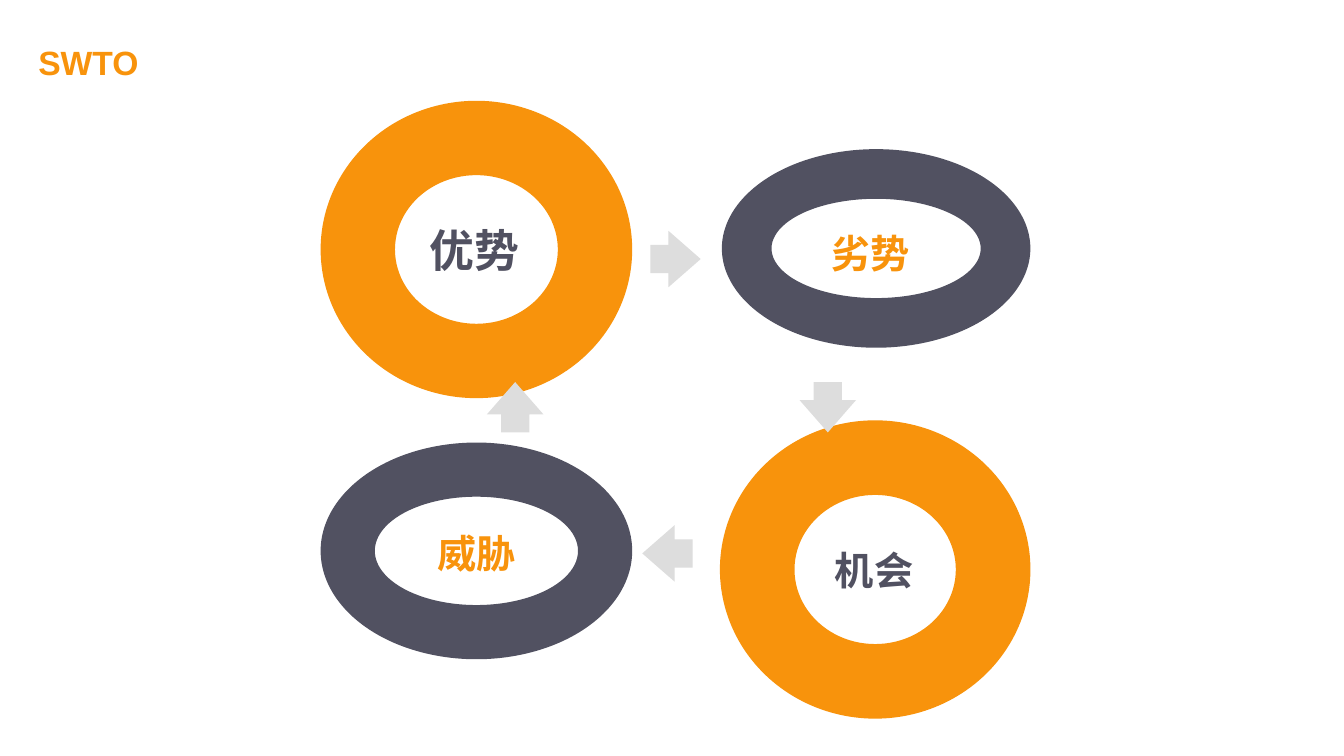
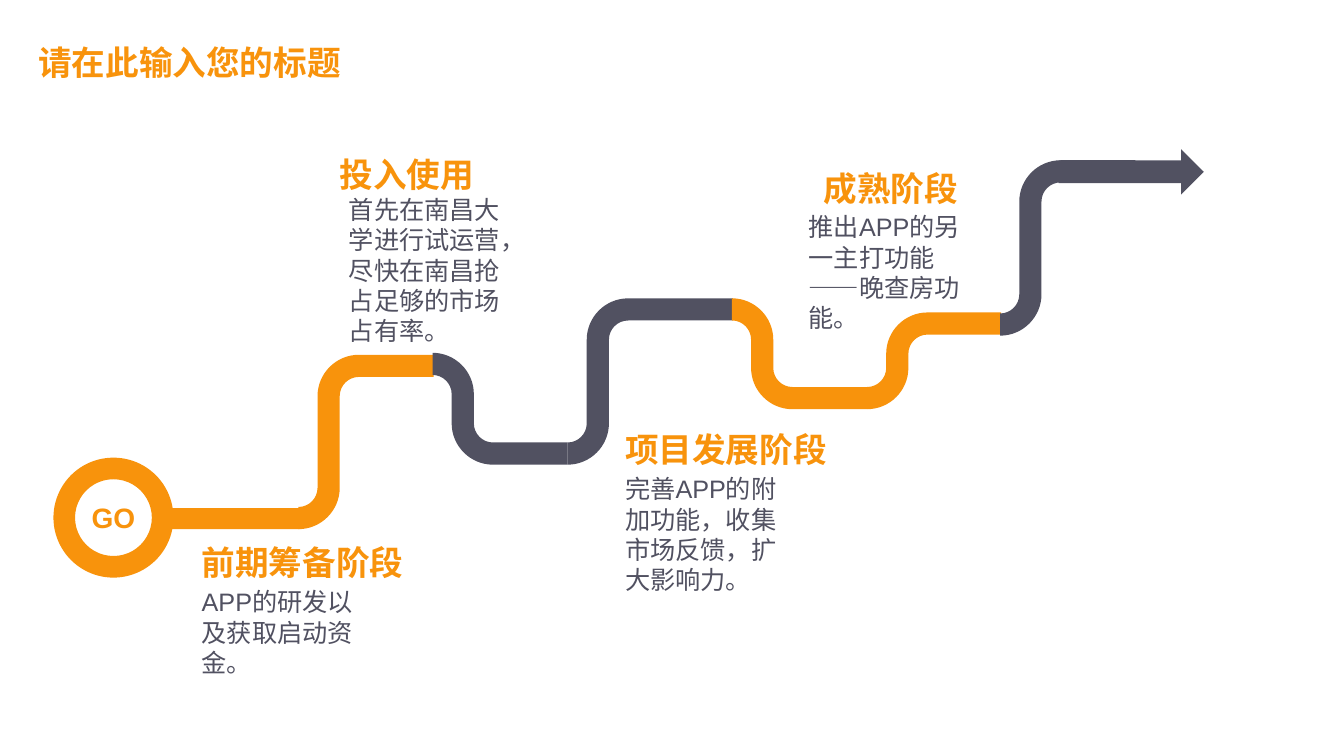
import pptx
import pptx.dml.color
import pptx.enum.shapes
import pptx.enum.text
import pptx.oxml.ns
import pptx.util

Inches = pptx.util.Inches
Pt = pptx.util.Pt
RGBColor = pptx.dml.color.RGBColor
Shape = pptx.enum.shapes.MSO_SHAPE
Anchor = pptx.enum.text.MSO_ANCHOR
Align = pptx.enum.text.PP_ALIGN
qn = pptx.oxml.ns.qn

ORANGE = RGBColor(0xF8, 0x93, 0x0C)
SLATE = RGBColor(0x51, 0x51, 0x61)
GREY = RGBColor(0xDD, 0xDD, 0xDD)
FONT = "Arial"


def paint(shape, color):
    shape.shadow.inherit = False
    shape.fill.solid()
    shape.fill.fore_color.rgb = color
    shape.line.fill.background()


def add_text(slide, box, text, size, color, bold=True, align=Align.LEFT, anchor=Anchor.MIDDLE):
    frame = slide.shapes.add_textbox(*map(Inches, box)).text_frame
    frame.word_wrap = True
    frame.vertical_anchor = anchor
    frame.margin_left = frame.margin_right = frame.margin_top = frame.margin_bottom = 0
    frame.text = text
    paragraph = frame.paragraphs[0]
    paragraph.alignment = align
    font = paragraph.runs[0].font
    font.name = FONT
    font.size = Pt(size)
    font.bold = bold
    font.color.rgb = color


presentation = pptx.Presentation()
presentation.slide_width = Inches(13.33)
presentation.slide_height = Inches(7.5)

layout = presentation.slide_layouts.get_by_name("Title Only")
layout_title = layout.placeholders[0]
layout_title.left, layout_title.top = Inches(0.28), Inches(0.28)
layout_title.width, layout_title.height = Inches(3.89), Inches(0.68)

title_level = next(presentation.slide_master.element.iter(qn("p:titleStyle"))).find(qn("a:lvl1pPr"))
title_level.set("algn", "l")
title_run = title_level.find(qn("a:defRPr"))
title_run.set("sz", "2400")
title_run.set("b", "1")
title_run.find(qn("a:latin")).set("typeface", FONT)
title_color = title_run.find(qn("a:solidFill"))
title_color.clear()
title_color.append(title_color.makeelement(qn("a:srgbClr"), {"val": str(ORANGE)}))

swot_slide = presentation.slides.add_slide(layout)
swot_slide.shapes.title.text_frame.text = "SWTO"

rings = [
    ((3.18, 4.39, 3.09, 2.15), SLATE),
    ((7.14, 4.17, 3.08, 2.96), ORANGE),
    ((7.16, 1.48, 3.06, 1.97), SLATE),
    ((3.18, 1, 3.09, 2.95), ORANGE),
]
for box, color in rings:
    ring = swot_slide.shapes.add_shape(Shape.DONUT, *map(Inches, box))
    paint(ring, color)

for left, top, rotation in [(4.86, 3.76, 270), (6.45, 2.29, 0), (6.37, 5.21, 180), (7.96, 3.76, 90)]:
    arrow = swot_slide.shapes.add_shape(
        Shape.RIGHT_ARROW, Inches(left), Inches(top), Inches(0.5), Inches(0.56))
    arrow.rotation = rotation
    arrow.adjustments[1] = 0.64
    paint(arrow, GREY)

ring_labels = [
    ((3.82, 2.19, 1.77, 0.57), "优势", 32, SLATE),
    ((7.93, 2.26, 1.41, 0.49), "劣势", 28, ORANGE),
    ((7.88, 5.34, 1.58, 0.62), "机会", 28, SLATE),
    ((3.95, 5.1, 1.55, 0.77), "威胁", 28, ORANGE),
]
for box, text, size, color in ring_labels:
    add_text(swot_slide, box, text, size, color, align=Align.CENTER)

road_slide = presentation.slides.add_slide(layout)
road_slide.shapes.title.text_frame.text = "请在此输入您的标题"

BEND = 0.3
HALF_WIDTH = 0.11
CURVE_PULL = 0.55
LEAVES_LEVEL = {0: True, 2: False, 6: True, 8: False}
road_sections = [
    (5.63, 4.5, 7.27, 3.07, SLATE),
    (8.6, 3.95, 9.93, 3.21, ORANGE),
    (7.26, 3.07, 8.6, 3.95, ORANGE),
    (2.96, 5.14, 4.3, 3.63, ORANGE),
    (4.29, 3.61, 5.63, 4.5, SLATE),
    (9.92, 3.22, 11.26, 1.7, SLATE),
]
for start_x, start_y, end_x, end_y, color in road_sections:
    direction = 1 if end_y > start_y else -1
    edges = []
    for offset in (HALF_WIDTH, -HALF_WIDTH):
        upright_x = start_x + BEND + offset
        edges.append([
            (start_x, start_y - direction * offset),
            (upright_x, start_y + direction * BEND),
            (upright_x, end_y - direction * BEND),
            (start_x + 2 * BEND, end_y - direction * offset),
            (end_x, end_y - direction * offset),
        ])
    outline = [(Inches(x), Inches(y)) for x, y in edges[0] + edges[1][::-1]]
    builder = road_slide.shapes.build_freeform(*outline[0])
    builder.add_line_segments(outline[1:], close=True)
    section = builder.convert_to_shape()
    paint(section, color)

    points = list(section.element.iter(qn("a:pt")))
    places = [(int(point.get("x")), int(point.get("y"))) for point in points]
    for index, leaves_level in LEAVES_LEVEL.items():
        before, after = places[index], places[index + 1]
        corner = (after[0], before[1]) if leaves_level else (before[0], after[1])
        segment = points[index + 1].getparent()
        curve = segment.makeelement(qn("a:cubicBezTo"), {})
        for end in (before, after):
            x, y = (round(a + CURVE_PULL * (b - a)) for a, b in zip(end, corner))
            curve.append(curve.makeelement(qn("a:pt"), {"x": str(x), "y": str(y)}))
        curve.append(points[index + 1])
        segment.getparent().replace(segment, curve)

road_ends = [
    (Shape.DONUT, (0.53, 4.54, 1.19, 1.19), ORANGE),
    (Shape.RECTANGLE, (1.7, 5.04, 1.27, 0.21), ORANGE),
    (Shape.RIGHT_ARROW, (10.5, 1.48, 1.44, 0.45), SLATE),
]
for kind, box, color in road_ends:
    road_end = road_slide.shapes.add_shape(kind, *map(Inches, box))
    paint(road_end, color)
    if kind == Shape.DONUT:
        road_end.adjustments[0] = 0.18

add_text(road_slide, (0.63, 4.91, 0.99, 0.44), "GO", 20, ORANGE, align=Align.CENTER)

stages = [
    ((2, 5.19, 2.3, 0.59), "前期筹备阶段", (2, 5.82, 1.72, 1.05), "APP的研发以及获取启动资金。"),
    ((3.37, 1.38, 1.73, 0.55), "投入使用", (3.46, 1.93, 1.72, 1.76),
     "首先在南昌大学进行试运营，尽快在南昌抢占足够的市场占有率。"),
    ((8.17, 1.48, 1.57, 0.59), "成熟阶段", (8.02, 2.1, 1.72, 0.85),
     "推出APP的另一主打功能——晚查房功能。"),
    ((6.2, 4.06, 2.18, 0.59), "项目发展阶段", (6.2, 4.7, 1.72, 0.7),
     "完善APP的附加功能，收集市场反馈，扩大影响力。"),
]
for heading_box, heading, detail_box, detail in stages:
    add_text(road_slide, heading_box, heading, 24, ORANGE, anchor=Anchor.BOTTOM)
    add_text(road_slide, detail_box, detail, 18, SLATE, bold=False, anchor=Anchor.TOP)

presentation.save("out.pptx")
